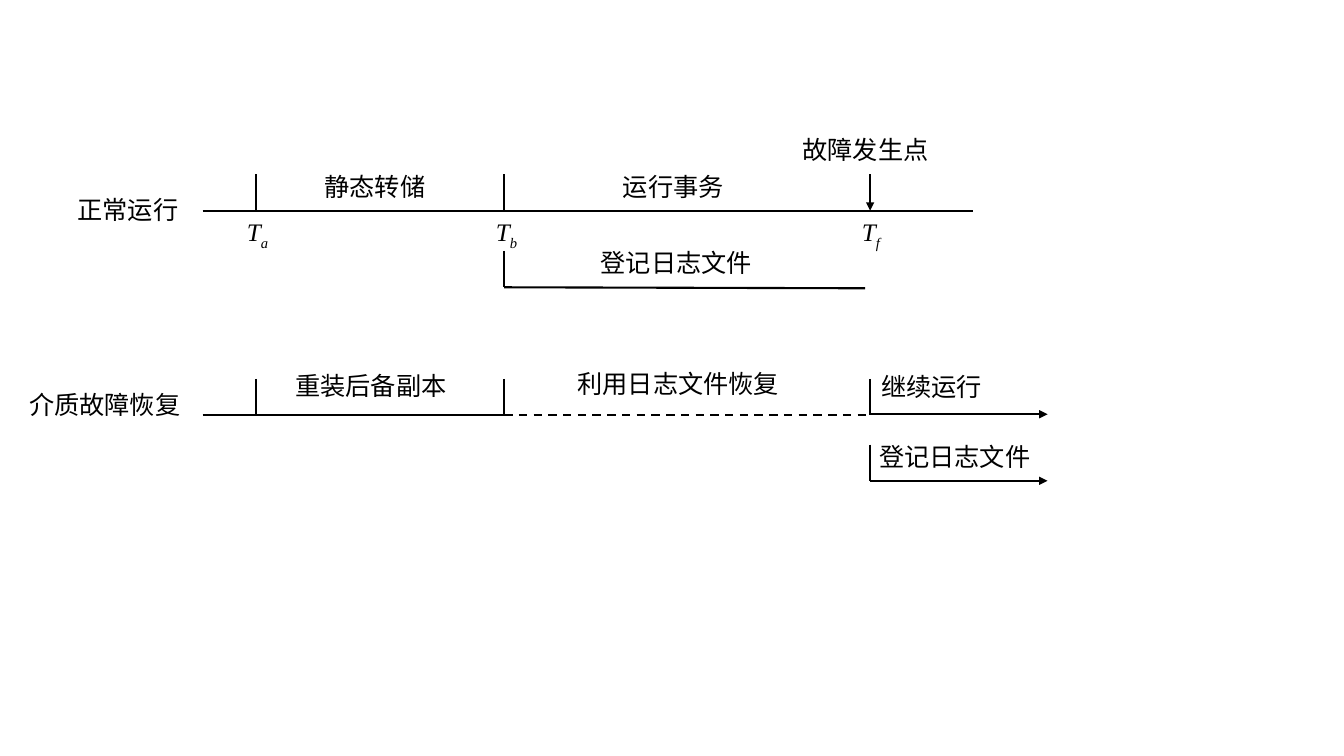
from lxml import etree
from pptx import Presentation
from pptx import util as u
from pptx.dml.color import RGBColor
from pptx.enum import dml, shapes, text
from pptx.oxml.ns import qn

HAN, LATIN = "Noto Sans CJK SC", "Times New Roman"


def color(value):
    return RGBColor.from_string(value)


class Diagram:
    ink = "000000"
    line_format = {"width": u.Pt(1.5)}
    frame_format = {"word_wrap": True, "auto_size": text.MSO_AUTO_SIZE.SHAPE_TO_FIT_TEXT}

    def __init__(self, slide):
        self.slide = slide

    def apply(self, target, values):
        for key, value in values.items():
            setattr(target, key, value)

    def line(self, x1, y1, x2, y2, arrow=False, **extra):
        ends = [u.Inches(v) for v in (x1, y1, x2, y2)]
        connector = self.slide.shapes.add_connector(shapes.MSO_CONNECTOR.STRAIGHT, *ends)
        connector.line.color.rgb = color(self.ink)
        self.apply(connector.line, {**self.line_format, **extra})
        properties = connector._element.spPr
        if arrow:
            etree.SubElement(properties.find(qn("a:ln")), qn("a:tailEnd"), type="triangle")
        etree.SubElement(properties, qn("a:effectLst"))

    def tick(self, x, base, **extra):
        self.line(x, base - 0.36, x, base, **extra)

    def label(self, x, y, width, words, subscript=""):
        box = self.slide.shapes.add_textbox(*[u.Inches(v) for v in (x, y, width, 0.4)])
        self.apply(box.text_frame, self.frame_format)
        self.run(box, words, italic=bool(subscript))
        if subscript:
            properties = self.run(box, subscript, italic=True)
            properties.set("baseline", "-25000")

    def run(self, box, words, italic):
        run = box.text_frame.paragraphs[0].add_run()
        run.text = words
        face = LATIN if italic else HAN
        self.apply(run.font, {"name": face, "size": u.Pt(18), "italic": italic})
        run.font.color.rgb = color(self.ink)
        properties = run._r.get_or_add_rPr()
        etree.SubElement(properties, qn("a:ea"), typeface=face)
        return properties


deck = Presentation()
deck.slide_width, deck.slide_height = u.Inches(13.33), u.Inches(7.5)
diagram = Diagram(deck.slides.add_slide(deck.slide_layouts[6]))

# Moments shared by both timelines, and the heights of the lines
axis_start, dump_start, dump_end, failure, resume_end = 2.01, 2.54, 5, 8.63, 10.39
normal, normal_log, recovery, recovery_log = 2.09, 2.85, 4.12, 4.77

# Ticks that mark the dump interval
for base in (normal, recovery):
    for moment in (dump_start, dump_end):
        diagram.tick(moment, base)

# Normal operation, with its log below
diagram.line(axis_start, normal, 9.65, normal)
diagram.tick(failure, normal, arrow=True)
diagram.tick(dump_end, normal_log)
diagram.line(dump_end, normal_log, 8.58, normal_log + 0.01)

# Recovery: reload, replay of the log, then resumed work
diagram.line(axis_start, recovery, dump_end, recovery)
diagram.line(dump_end, recovery, failure, recovery, dash_style=dml.MSO_LINE.DASH)
for base, arrow_height in ((recovery, recovery - 0.01), (recovery_log, recovery_log)):
    diagram.tick(failure, base)
    diagram.line(failure, arrow_height, resume_end, arrow_height, arrow=True)

# Names of the moments
for x, moment in ((2.35, "a"), (4.82, "b"), (8.45, "f")):
    diagram.label(x, 2.1, 0.59, "T", moment)

# Names of the timelines and their phases
for phase in (
    (0.67, 1.88, 1.4, "正常运行"),
    (3.12, 1.65, 1.51, "静态转储"),
    (6.08, 1.65, 1.62, "运行事务"),
    (7.86, 1.28, 1.89, "故障发生点"),
    (5.86, 2.4, 1.92, "登记日志文件"),
    (0.19, 3.81, 1.89, "介质故障恢复"),
    (2.83, 3.62, 1.89, "重装后备副本"),
    (5.63, 3.61, 2.23, "利用日志文件恢复"),
    (8.64, 3.63, 1.92, "继续运行"),
    (8.62, 4.33, 1.92, "登记日志文件"),
):
    diagram.label(*phase)

deck.save("out.pptx")
